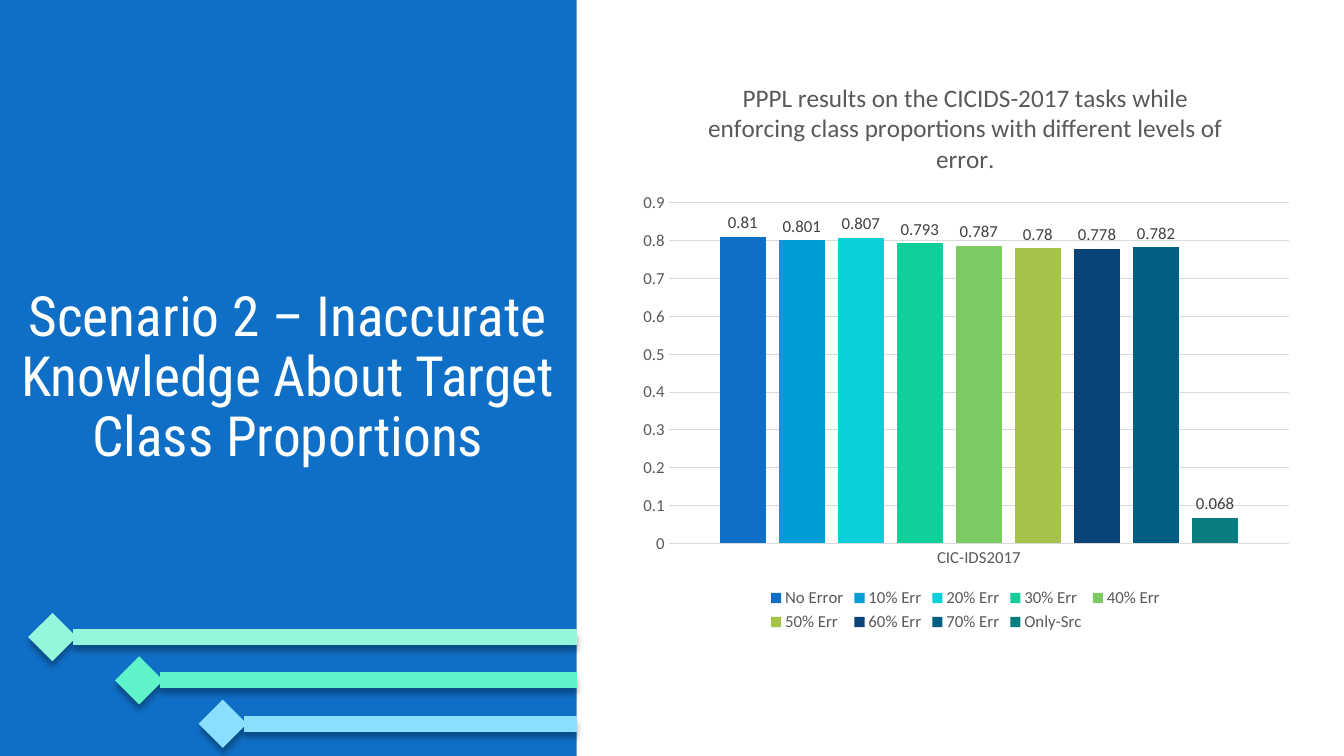
import pptx
import pptx.util
import pptx.chart.data
import pptx.dml.color
import pptx.enum.chart
import pptx.enum.shapes
import pptx.enum.text
import pptx.oxml
import pptx.oxml.ns

Inches, Pt = pptx.util.Inches, pptx.util.Pt
XL = pptx.enum.chart
COLORS = {
    "panel": "0F6FC6", "white": "FFFFFF", "grid": "D9D9D9",
    "axis text": "595959", "value text": "404040", "shadow": "000000",
}
ERROR_LEVELS = {
    "No Error": (0.81, "0F6FC6"),
    "10% Err": (0.801, "009DD9"),
    "20% Err": (0.807, "0BD0D9"),
    "30% Err": (0.793, "10CF9B"),
    "40% Err": (0.787, "7CCA62"),
    "50% Err": (0.78, "A5C249"),
    "60% Err": (0.778, "094377"),
    "70% Err": (0.782, "005E82"),
    "Only-Src": (0.068, "077D82"),
}
DIAMOND_LINES = [(0.52, 6.32, "94F7DC"), (1.38, 6.75, "5FF3CA"), (2.21, 7.18, "8ADFFF")]
PANEL_WIDTH = 5.72


def rgb(color):
    return pptx.dml.color.RGBColor.from_string(COLORS.get(color, color))


def style_font(font, size, color, name="Calibri"):
    for attribute, value in {"size": Pt(size), "name": name, "bold": False}.items():
        setattr(font, attribute, value)
    font.color.rgb = rgb(color)


deck = pptx.Presentation()
deck.slide_width, deck.slide_height = Inches(13.33), Inches(7.5)
slide = deck.slides.add_slide(deck.slide_layouts[6])

panel = slide.shapes.add_shape(
    pptx.enum.shapes.MSO_SHAPE.RECTANGLE, 0, 0, Inches(PANEL_WIDTH), Inches(7.5))
panel.shadow.inherit = False
panel.fill.solid()
panel.fill.fore_color.rgb = rgb("panel")
panel.line.fill.background()

for start, height, color in DIAMOND_LINES:
    diamond_line = slide.shapes.add_connector(
        pptx.enum.shapes.MSO_CONNECTOR.STRAIGHT,
        Inches(start), Inches(height), Inches(PANEL_WIDTH), Inches(height))
    diamond_line.line.color.rgb = rgb(color)
    diamond_line.line.width = Pt(11.5)
    diamond_line.line._get_or_add_ln().append(pptx.oxml.parse_xml(
        f'<a:headEnd {pptx.oxml.ns.nsdecls("a")} type="diamond"/>'))
    diamond_line._element.spPr.append(pptx.oxml.parse_xml(
        f'<a:effectLst {pptx.oxml.ns.nsdecls("a")}>'
        f'<a:outerShdw blurRad="{Pt(4)}" dist="{Pt(4)}" dir="5400000" rotWithShape="0">'
        f'<a:srgbClr val="{COLORS["shadow"]}"><a:alpha val="30000"/></a:srgbClr>'
        '</a:outerShdw></a:effectLst>'))

scenario = slide.shapes.add_textbox(0, Inches(3.03), Inches(5.71), Inches(1.45)).text_frame
scenario.word_wrap = True
scenario.vertical_anchor = pptx.enum.text.MSO_ANCHOR.MIDDLE
heading = scenario.paragraphs[0]
heading.text = "Scenario 2 – Inaccurate Knowledge About Target Class Proportions"
heading.alignment = pptx.enum.text.PP_ALIGN.CENTER
heading.line_spacing = 0.9
style_font(heading.font, 39.6, "white", "Roboto Condensed")

results = pptx.chart.data.CategoryChartData()
results.categories = ["CIC-IDS2017"]
for level, (score, color) in ERROR_LEVELS.items():
    results.add_series(level, [score])
chart = slide.shapes.add_chart(
    XL.XL_CHART_TYPE.COLUMN_CLUSTERED,
    Inches(6.23), Inches(0.58), Inches(6.69), Inches(5.73), results).chart
style_font(chart.font, 10, "shadow")

chart.has_title = True
caption = chart.chart_title.text_frame.paragraphs[0]
caption.text = ("PPPL results on the CICIDS-2017 tasks while enforcing class "
                "proportions with different levels of error.")
style_font(caption.font, 18, "axis text")
chart.chart_title.include_in_layout = False

chart.has_legend = True
chart.legend.position = XL.XL_LEGEND_POSITION.BOTTOM
chart.legend.include_in_layout = False
style_font(chart.legend.font, 12, "axis text")

scores, dataset = chart.value_axis, chart.category_axis
for axis in (scores, dataset):
    axis.major_tick_mark = axis.minor_tick_mark = XL.XL_TICK_MARK.NONE
    style_font(axis.tick_labels.font, 12, "axis text")
for attribute, value in {"minimum_scale": 0, "maximum_scale": 0.9, "major_unit": 0.1}.items():
    setattr(scores, attribute, value)
scores.tick_labels.number_format = "General"
scores.tick_labels.number_format_is_linked = False
scores.format.line.fill.background()
for line in (scores.major_gridlines.format.line, dataset.format.line):
    line.color.rgb = rgb("grid")
    line.width = Pt(0.75)

bars = chart.plots[0]
bars.vary_by_categories = False
bars.gap_width, bars.overlap = 219, -27
for level in bars.series:
    level.format.fill.solid()
    level.format.fill.fore_color.rgb = rgb(ERROR_LEVELS[level.name][1])
    labels = level.data_labels
    labels.show_value = True
    labels.position = XL.XL_LABEL_POSITION.OUTSIDE_END
    style_font(labels.font, 12, "value text")

plot_area = chart._chartSpace.chart.plotArea
for old_layout in plot_area.findall(pptx.oxml.ns.qn("c:layout")):
    plot_area.remove(old_layout)
plot_area.insert(0, pptx.oxml.parse_xml(
    f'<c:layout {pptx.oxml.ns.nsdecls("c")}><c:manualLayout>'
    '<c:layoutTarget val="inner"/><c:xMode val="edge"/><c:yMode val="edge"/>'
    '<c:x val="0.06"/><c:y val="0.25"/><c:w val="0.92"/><c:h val="0.59"/>'
    '</c:manualLayout></c:layout>'))

deck.save("out.pptx")
